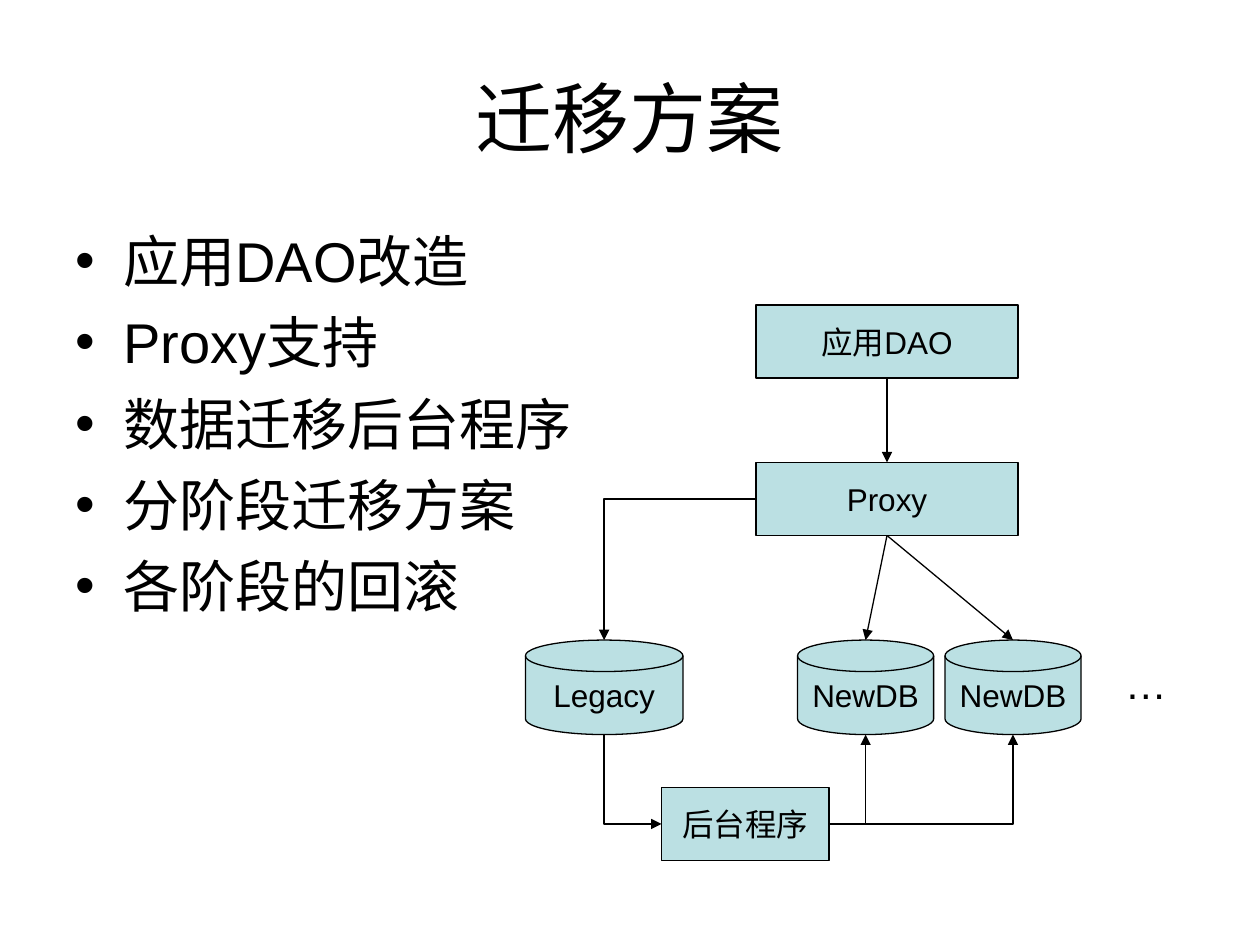
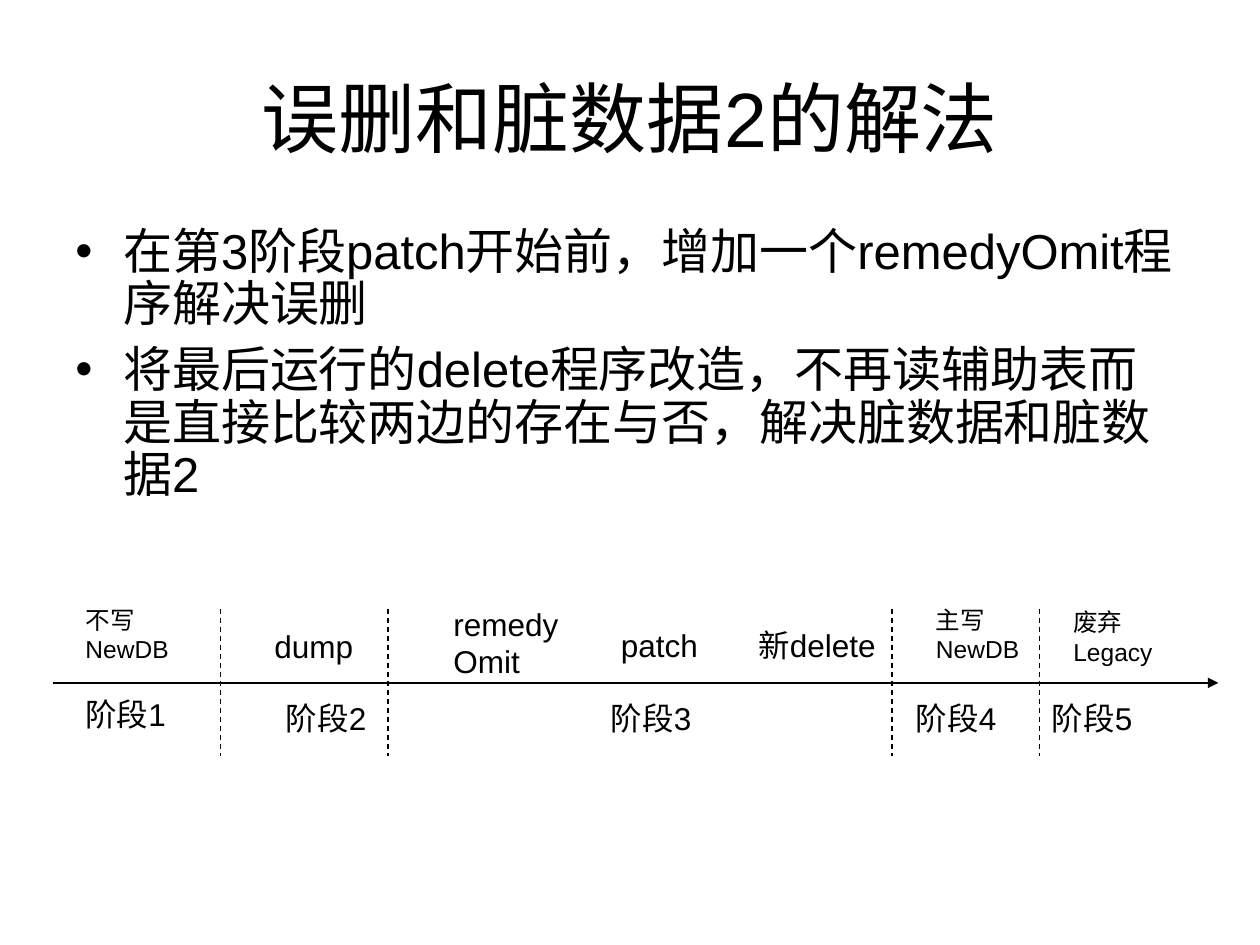
from pptx import Presentation
from pptx.dml.color import RGBColor
from pptx.enum import dml, shapes, text
from pptx.oxml import ns, xmlchemy
from pptx.util import Inches, Pt

COLORS = {"ink": "000000", "node": "BBE0E3", "paper": "FFFFFF"}
FONT = "Arial"
LINE_WIDTH = 0.75
BULLET_INDENT = 0.38
TITLE_BOX = (0.5, 0.3, 9, 1.25)


def color(name):
    return RGBColor.from_string(COLORS[name])


def add_element(parent, tag, **attributes):
    element = xmlchemy.OxmlElement(tag)
    for key, value in attributes.items():
        element.set(key, value)
    parent.append(element)


# Text
def write_text(shape, lines, size=18, align=None, anchor=text.MSO_ANCHOR.TOP,
               wrap=True, before=0, spacing=None, bullet=False):
    frame = shape.text_frame
    frame.word_wrap = wrap
    frame.vertical_anchor = anchor
    for index, line in enumerate(lines):
        paragraph = frame.paragraphs[0] if index == 0 else frame.add_paragraph()
        paragraph.alignment = align
        paragraph.space_before = Pt(before)
        if spacing:
            paragraph.line_spacing = spacing
        if bullet:
            properties = paragraph._p.get_or_add_pPr()
            properties.set("marL", str(Inches(BULLET_INDENT)))
            properties.set("indent", str(-Inches(BULLET_INDENT)))
            add_element(properties, "a:buFont", typeface=FONT)
            add_element(properties, "a:buChar", char="•")
        run = paragraph.add_run()
        run.text = line
        run.font.name = FONT
        run.font.size = Pt(size)
        run.font.color.rgb = color("ink")


def add_text(slide, box, *lines, **text_format):
    shape = slide.shapes.add_textbox(*map(Inches, box))
    write_text(shape, lines, **text_format)


def add_title(slide, title):
    add_text(slide, TITLE_BOX, title, size=44, align=text.PP_ALIGN.CENTER,
             anchor=text.MSO_ANCHOR.MIDDLE)


# Nodes and lines
def add_node(slide, kind, box, label):
    shape = slide.shapes.add_shape(kind, *map(Inches, box))
    shape.shadow.inherit = False
    shape.fill.solid()
    shape.fill.fore_color.rgb = color("node")
    shape.line.color.rgb = color("ink")
    shape.line.width = Pt(LINE_WIDTH)
    write_text(shape, [label], align=text.PP_ALIGN.CENTER,
               anchor=text.MSO_ANCHOR.MIDDLE, wrap=False)
    return shape


def add_line(slide, start, end, kind=shapes.MSO_CONNECTOR.STRAIGHT,
             arrow=True, dashed=False):
    connector = slide.shapes.add_connector(kind, *map(Inches, (*start, *end)))
    connector.line.color.rgb = color("ink")
    connector.line.width = Pt(LINE_WIDTH)
    if dashed:
        connector.line.dash_style = dml.MSO_LINE.DASH
    properties = connector.element.spPr
    if arrow:
        add_element(properties.find(ns.qn("a:ln")), "a:tailEnd", type="triangle")
    add_element(properties, "a:effectLst")
    return connector


def add_corner(slide, start, end, vertical_first=False):
    """Arrow with one right-angle bend."""
    if vertical_first:
        # Lay the bend on its side about its centre, then turn it by 270 degrees
        center_x, center_y = (start[0] + end[0]) / 2, (start[1] + end[1]) / 2
        half_x, half_y = (end[0] - start[0]) / 2, (end[1] - start[1]) / 2
        start = center_x + half_y, center_y - half_x
        end = center_x - half_y, center_y + half_x
    connector = add_line(slide, start, end, shapes.MSO_CONNECTOR.ELBOW)
    properties = connector.element.spPr
    properties.find(ns.qn("a:prstGeom")).set("prst", "bentConnector2")
    if vertical_first:
        properties.find(ns.qn("a:xfrm")).set("rot", str(270 * 60000))


# Migration diagram
def draw_migration(slide, left, top):
    rectangle = shapes.MSO_SHAPE.RECTANGLE
    disk = shapes.MSO_SHAPE.FLOWCHART_MAGNETIC_DISK
    box_height, disk_height = 0.58, 0.75
    proxy_left, proxy_top, proxy_width = left + 1.83, top + 1.25, 2.08
    disk_top = top + 2.66
    disk_bottom = disk_top + disk_height
    source_width, target_width = 1.25, 1.08
    worker_left, worker_top, worker_width = left + 1.08, top + 3.83, 1.33
    worker_middle = worker_top + box_height / 2

    application = add_node(slide, rectangle,
                           (proxy_left, top, proxy_width, box_height), "应用DAO")
    proxy = add_node(slide, rectangle,
                     (proxy_left, proxy_top, proxy_width, box_height), "Proxy")
    add_node(slide, disk, (left, disk_top, source_width, disk_height), "Legacy")
    add_node(slide, rectangle,
             (worker_left, worker_top, worker_width, box_height), "后台程序")
    add_text(slide, (left + 4.66, disk_top + 0.09, 1.17, 0.5), "…",
             size=24, before=15)

    proxy_center = proxy_left + proxy_width / 2
    proxy_bottom = proxy_top + box_height
    source_center = left + source_width / 2
    call = add_line(slide, (proxy_center, top + box_height),
                    (proxy_center, proxy_top))
    call.begin_connect(application, 2)
    call.end_connect(proxy, 0)
    add_corner(slide, (proxy_left, proxy_top + box_height / 2),
               (source_center, disk_top))
    add_corner(slide, (source_center, disk_bottom),
               (worker_left, worker_middle), vertical_first=True)

    # Each target is written by the proxy and by the background program
    for index in range(2):
        target_left = left + 2.16 + index * 1.17
        target_center = target_left + target_width / 2
        add_node(slide, disk,
                 (target_left, disk_top, target_width, disk_height), "NewDB")
        write = add_line(slide, (proxy_center, proxy_bottom),
                         (target_center, disk_top))
        write.begin_connect(proxy, 2)
        add_corner(slide, (worker_left + worker_width, worker_middle),
                   (target_center, disk_bottom))


# Stage timeline
def draw_timeline(slide, left, top, width):
    axis = top + 0.59
    add_line(slide, (left, axis), (left + width, axis))
    for offset in (1.33, 2.66, 6.66, 7.83):
        add_line(slide, (left + offset, top), (left + offset, top + 1.17),
                 arrow=False, dashed=True)

    label_width = 1.08
    stages = [(0.16, 0.64), (1.75, 0.67), (4.33, 0.67), (6.75, 0.67), (7.83, 0.67)]
    for number, (x, y) in enumerate(stages, 1):
        add_text(slide, (left + x, top + y, label_width, 0.4), f"阶段{number}",
                 before=11.2)

    steps = [
        ("dump", 1.66, 0.1, label_width, 0.4),
        ("patch", 4.41, 0.09, label_width, 0.4),
        ("新delete", 5.5, 0.09, 1.25, 0.4),
        ("remedyOmit", 3.08, -0.08, label_width, 0.7),
    ]
    for label, x, y, step_width, height in steps:
        add_text(slide, (left + x, top + y, step_width, height), label, before=11.2)

    states = [("不写NewDB", 0.16, -0.08), ("主写NewDB", 6.91, -0.08),
              ("废弃Legacy", 8, -0.06)]
    for label, x, y in states:
        add_text(slide, (left + x, top + y, label_width, 0.57), label,
                 size=14, before=8.8)


# Slides
def add_slide(presentation, title):
    slide = presentation.slides.add_slide(presentation.slide_layouts[6])
    slide.background.fill.solid()
    slide.background.fill.fore_color.rgb = color("paper")
    add_title(slide, title)
    return slide


def build_plan(presentation):
    slide = add_slide(presentation, "迁移方案")
    add_text(slide, (0.5, 1.75, 9, 5), "应用DAO改造", "Proxy支持",
             "数据迁移后台程序", "分阶段迁移方案", "各阶段的回滚",
             size=32, before=8, bullet=True)
    draw_migration(slide, 4.17, 2.42)


def build_remedy(presentation):
    slide = add_slide(presentation, "误删和脏数据2的解法")
    add_text(slide, (0.5, 1.75, 9, 2.33),
             "在第3阶段patch开始前，增加一个remedyOmit程序解决误删",
             "将最后运行的delete程序改造，不再读辅助表而是直接比较两边的存在与否，"
             "解决脏数据和脏数据2",
             size=28, before=7, spacing=0.9, bullet=True)
    draw_timeline(slide, 0.42, 4.83, 9.25)


def main():
    presentation = Presentation()
    presentation.slide_width = Inches(10)
    presentation.slide_height = Inches(7.5)
    build_plan(presentation)
    build_remedy(presentation)
    presentation.save("out.pptx")


if __name__ == "__main__":
    main()
